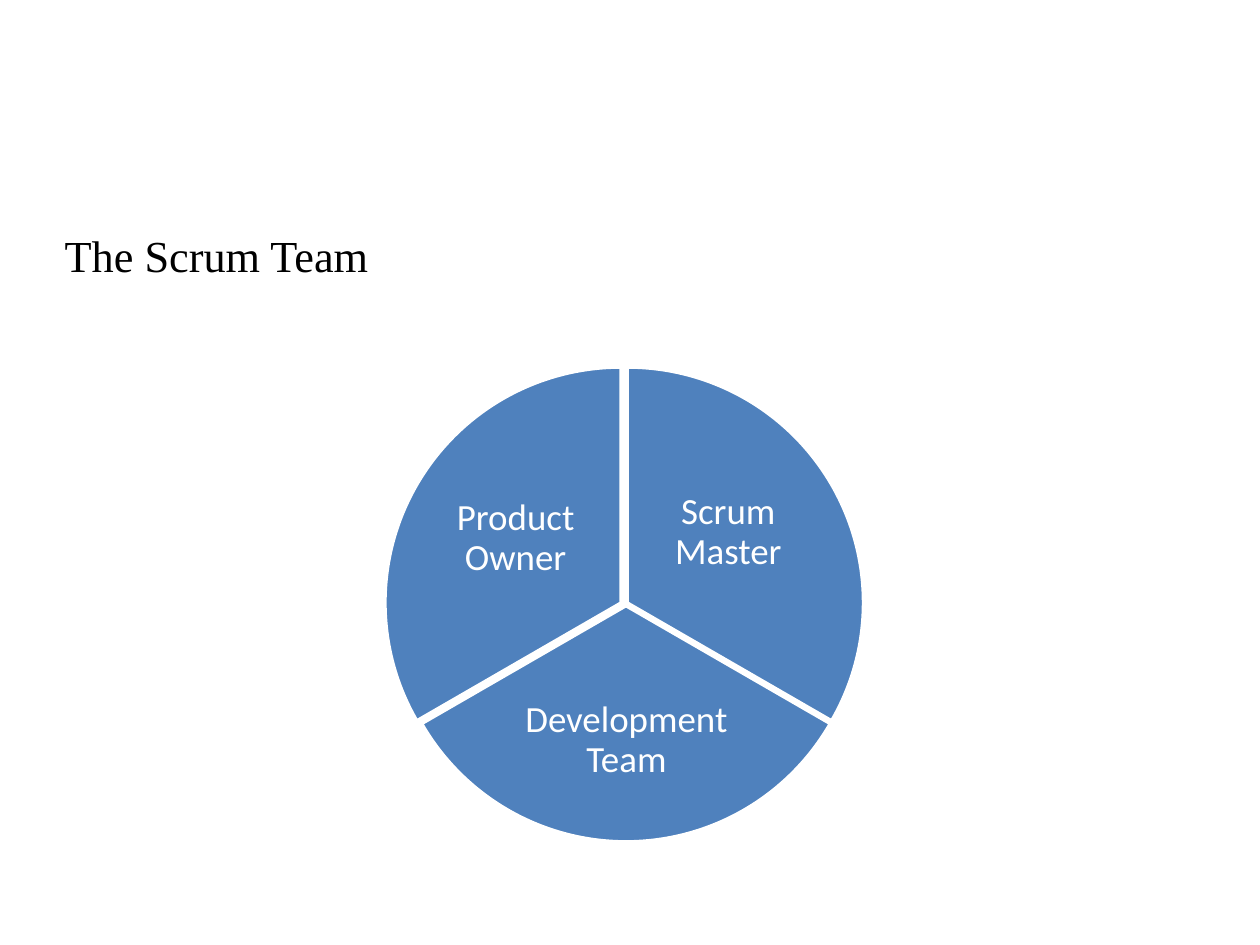
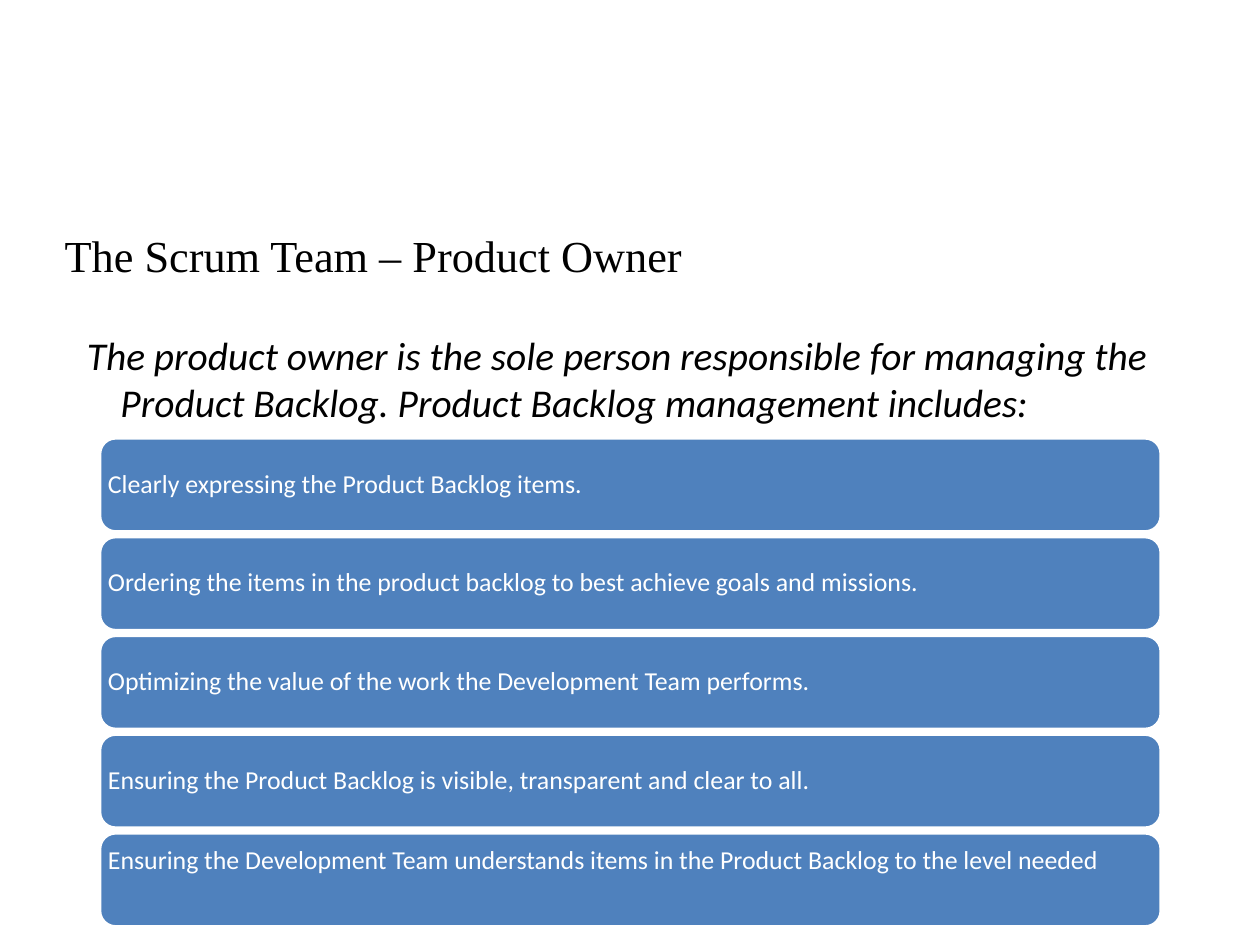
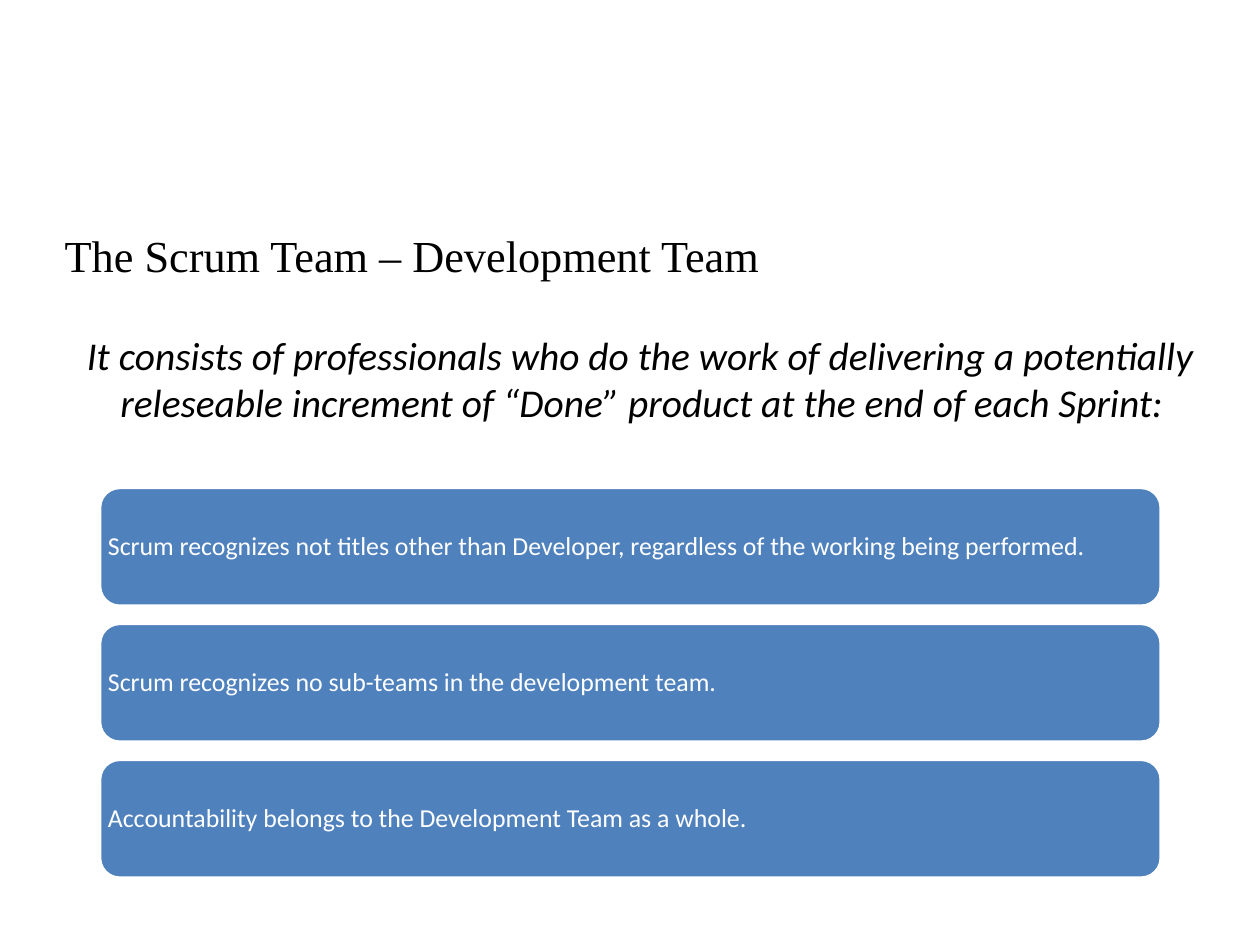
from pptx import Presentation
from pptx.dml.color import RGBColor
from pptx.enum.shapes import MSO_SHAPE
from pptx.enum.text import MSO_ANCHOR, MSO_AUTO_SIZE, PP_ALIGN
from pptx.oxml.ns import qn
from pptx.util import Inches, Pt

PIE, ROUND_RECT = MSO_SHAPE.PIE, MSO_SHAPE.ROUNDED_RECTANGLE
MIDDLE, TOP = MSO_ANCHOR.MIDDLE, MSO_ANCHOR.TOP
LEFT, CENTER, JUSTIFY = PP_ALIGN.LEFT, PP_ALIGN.CENTER, PP_ALIGN.JUSTIFY

BLUE, WHITE, BLACK = "4F81BD", "FFFFFF", "000000"
TITLE_FONT, BODY_FONT = "Times New Roman", "Calibri"
TITLE_AND_CONTENT, TITLE_ONLY = 1, 5

TITLE_BOX = (0.63, 2.29, 12.91, 1.18)
INTRO_BOX = (0.88, 3.69, 12.8, 6.54)
BARS_LEFT, BARS_WIDTH, BAR_INSET = 1.13, 11.97, 0.09
# Share of a rounded rectangle's height that its corners add to the text inset
CORNER_INSET = 0.05
TRAILING_LINE = 0.42

PIE_SIZE = 5.31
# Start and end angle, slice offset, label, label box; offsets from the pie's corner
SLICES = [
    (270, 30, (0.08, 0), "Scrum Master", (2.97, 0.98, 1.8, 1.77)),
    (30, 150, (0.06, 0.04), "Development Team", (1.52, 3.39, 2.4, 1.64)),
    (150, 270, (0, 0), "Product Owner", (0.57, 1.05, 1.8, 1.77)),
]

OWNER_DUTIES = [
    "Clearly expressing the Product Backlog items.",
    "Ordering the items in the product backlog to best achieve goals and missions.",
    "Optimizing the value of the work the Development Team performs.",
    "Ensuring the Product Backlog is visible, transparent and clear to all.",
    "Ensuring the Development Team understands items in the Product Backlog to the level needed",
]
TEAM_RULES = [
    "Scrum recognizes not titles other than Developer, regardless of the working being performed.",
    "Scrum recognizes no sub-teams in the development team.",
    "Accountability belongs to the Development Team as a whole.",
]


def rgb(value):
    return RGBColor.from_string(value)


def inches(values):
    return [Inches(value) for value in values]


def place(shape, box):
    shape.left, shape.top, shape.width, shape.height = inches(box)


def write(shape, text, size, color, font=BODY_FONT, align=LEFT, anchor=MIDDLE,
          margins=(0.1, 0.05, 0.1, 0.05), italic=False, spacing=None):
    """Fill a shape with one formatted paragraph and return the paragraph."""
    frame = shape.text_frame
    frame.text = text
    frame.word_wrap = True
    frame.auto_size = MSO_AUTO_SIZE.NONE
    frame.vertical_anchor = anchor
    (frame.margin_left, frame.margin_top,
     frame.margin_right, frame.margin_bottom) = inches(margins)
    paragraph = frame.paragraphs[0]
    paragraph.alignment = align
    if spacing:
        paragraph.line_spacing = spacing
    for run in paragraph.runs:
        run.font.name = font
        run.font.size = Pt(size)
        run.font.italic = italic
        run.font.color.rgb = rgb(color)
    return paragraph


def add_blue_shape(slide, kind, box):
    shape = slide.shapes.add_shape(kind, *inches(box))
    shape.shadow.inherit = False
    shape.fill.solid()
    shape.fill.fore_color.rgb = rgb(BLUE)
    shape.line.color.rgb = rgb(WHITE)
    shape.line.width = Pt(2)
    return shape


def add_titled_slide(deck, layout, title):
    slide = deck.slides.add_slide(deck.slide_layouts[layout])
    place(slide.shapes.title, TITLE_BOX)
    write(slide.shapes.title, title, 36, BLACK, font=TITLE_FONT, align=JUSTIFY)
    return slide


def add_intro(slide, text):
    """Put the text in the body placeholder with a hanging indent and no bullet."""
    intro = slide.placeholders[1]
    place(intro, INTRO_BOX)
    paragraph = write(intro, text, 32, BLACK, anchor=TOP, italic=True)
    paragraph.space_before = Pt(6.4)
    properties = paragraph._p.get_or_add_pPr()
    properties.set("marL", str(Inches(0.38)))
    properties.set("indent", str(-Inches(0.38)))
    properties.append(properties.makeelement(qn("a:buNone"), {}))


def add_team_pie(slide, left, top):
    for start, end, (dx, dy), role, (x, y, width, height) in SLICES:
        sector = add_blue_shape(slide, PIE, (left + dx, top + dy, PIE_SIZE, PIE_SIZE))
        # Angles are stored in 1/60000 degree, adjustments in 1/100000
        sector.adjustments[0] = start * 0.6
        sector.adjustments[1] = end * 0.6
        label = slide.shapes.add_textbox(*inches((left + x, top + y, width, height)))
        write(label, role, 30, WHITE, align=CENTER, margins=(0.04,) * 4, spacing=0.9)


def add_bars(slide, items, top, height, bar_height, trailing_line=0):
    """Spread bars evenly over the height; the last text stands above a trailing line."""
    pitch = (height - bar_height) / (len(items) - 1)
    inset = BAR_INSET - CORNER_INSET * bar_height
    for index, item in enumerate(items):
        bar = add_blue_shape(
            slide, ROUND_RECT, (BARS_LEFT, top + index * pitch, BARS_WIDTH, bar_height))
        extra = trailing_line if index == len(items) - 1 else 0
        write(bar, item, 21, WHITE, margins=(inset, inset, inset, inset + extra),
              spacing=0.9)


def main():
    deck = Presentation()
    deck.slide_width, deck.slide_height = Inches(14.22), Inches(10.67)

    team = add_titled_slide(deck, TITLE_ONLY, "The Scrum Team")
    add_team_pie(team, 4.35, 4.15)

    owner = add_titled_slide(deck, TITLE_AND_CONTENT, "The Scrum Team – Product Owner")
    add_intro(owner, "The product owner is the sole person responsible for managing the "
                     "Product Backlog. Product Backlog management includes:")
    add_bars(owner, OWNER_DUTIES, 4.95, 5.51, 1.05, TRAILING_LINE)

    developers = add_titled_slide(
        deck, TITLE_AND_CONTENT, "The Scrum Team – Development Team")
    add_intro(developers, "It consists of professionals who do the work of delivering a "
                          "potentially releseable increment of “Done” product at the end "
                          "of each Sprint:")
    add_bars(developers, TEAM_RULES, 5.51, 4.4, 1.33)

    deck.save("out.pptx")


if __name__ == "__main__":
    main()
